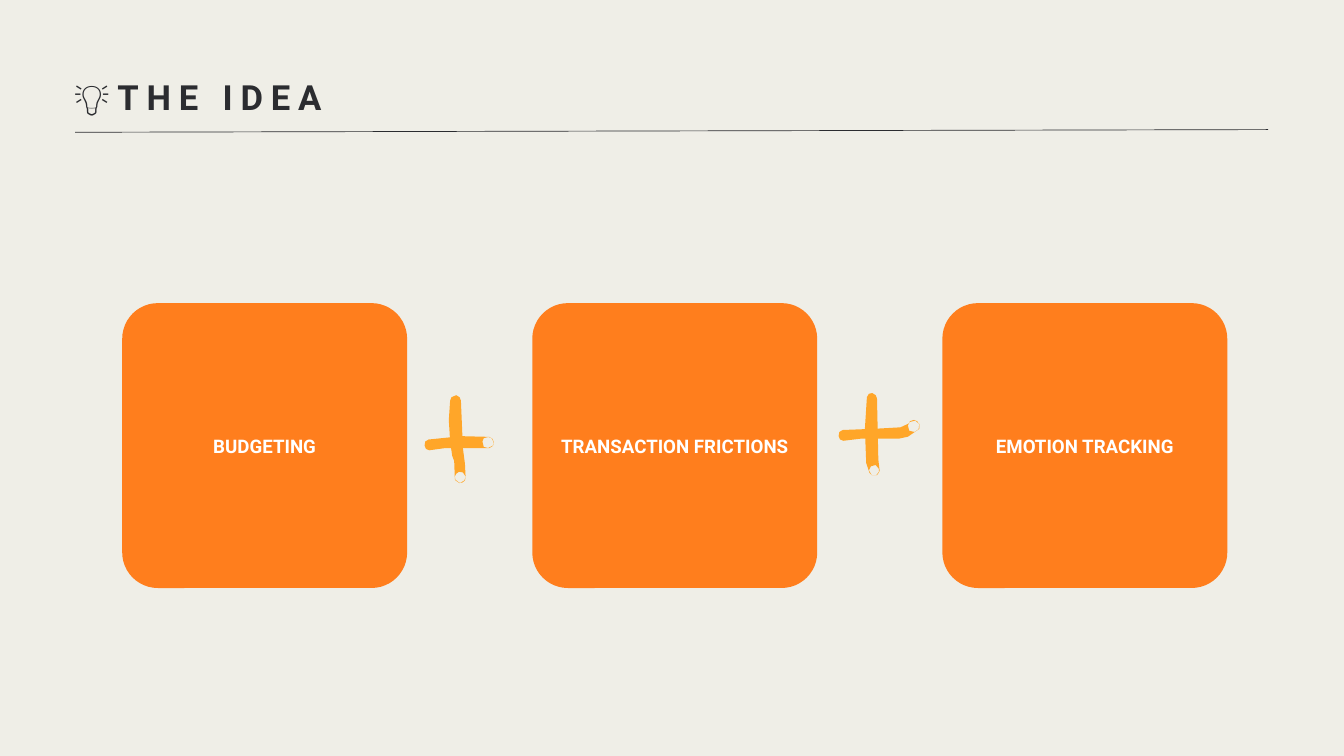
import pptx
import pptx.dml.color
import pptx.enum.shapes
import pptx.enum.text
import pptx.oxml
import pptx.util

Cm, Pt = pptx.util.Cm, pptx.util.Pt
ALIGN, ANCHOR = pptx.enum.text.PP_ALIGN, pptx.enum.text.MSO_ANCHOR
HUES = {"page": "EFEEE7", "ink": "2B2C30", "card": "FF7E1D",
        "plus": "FFA629", "white": "FFFFFF"}
CARDS = ["BUDGETING", "TRANSACTION FRICTIONS", "EMOTION TRACKING"]

# Hand-drawn strokes: outlines in hundredths of an inch from the sign's corner
UNIT = Cm(2.54) / 100
SIGNS = [
    {"bar": [(6, 66), (55, 61), (94, 62), (100, 64), (103, 71), (101, 76),
             (96, 79), (88, 77), (86, 69), (88, 64), (96, 62), (101, 65),
             (103, 70), (102, 75), (94, 79), (29, 79), (7, 82), (2, 80),
             (0, 75), (1, 69)],
     "post": [(54, 8), (57, 79), (60, 102), (61, 122), (59, 127), (52, 131),
              (46, 127), (45, 121), (47, 117), (51, 114), (57, 115),
              (61, 121), (60, 127), (56, 130), (51, 130), (45, 125),
              (44, 98), (41, 90), (38, 69), (36, 37), (38, 8), (40, 3),
              (47, 0), (52, 3)]},
    {"bar": [(6, 55), (56, 53), (92, 51), (105, 45), (106, 42), (112, 40),
             (117, 42), (120, 47), (120, 53), (113, 58), (105, 56),
             (103, 48), (106, 43), (114, 41), (120, 46), (119, 54),
             (103, 65), (89, 68), (32, 68), (7, 71), (2, 69), (0, 64),
             (1, 58)],
     "post": [(57, 8), (59, 99), (61, 116), (56, 122), (49, 122), (45, 115),
              (48, 109), (55, 107), (60, 113), (60, 118), (57, 122),
              (49, 122), (46, 119), (41, 104), (39, 53), (42, 6), (45, 1),
              (50, 0), (55, 3)]},
]


def tint(name):
    return pptx.dml.color.RGBColor.from_string(HUES[name])


def apply(item, values):
    for name, value in values.items():
        setattr(item, name, value)


def paint(shape, hue):
    shape.shadow.inherit = False
    shape.fill.solid()
    shape.fill.fore_color.rgb = tint(hue)
    shape.line.fill.background()


def write(shape, text, hue, frame, para, font):
    body = shape.text_frame
    body.text = text
    apply(body, {"word_wrap": True, **frame})
    first = body.paragraphs[0]
    apply(first, para)
    run = first.runs[0]
    apply(run.font, {"name": "Roboto", "bold": True, **font})
    run.font.color.rgb = tint(hue)
    return run


def header(slide, left, top, width, height):
    # Title
    title = slide.shapes.title
    apply(title, {"left": left, "top": top, "width": width, "height": height})
    frame = dict.fromkeys(
        ["margin_left", "margin_top", "margin_right", "margin_bottom"], 0)
    run = write(title, "💡THE IDEA", "ink",
                {**frame, "vertical_anchor": ANCHOR.TOP},
                {"alignment": ALIGN.LEFT, "line_spacing": Pt(52)},
                {"size": Pt(37.1)})
    run.font._element.set("spc", "840")

    # Slightly tilted rule
    start = left + Cm(0.05)
    rule = slide.shapes.add_connector(
        pptx.enum.shapes.MSO_CONNECTOR.STRAIGHT,
        start, top + Cm(2.38), start + width, top + Cm(2.28))
    rule.line.color.rgb = tint("ink")
    rule.line.width = Pt(0.75)
    rule._element.spPr.append(pptx.oxml.parse_xml(
        '<a:effectLst xmlns:a='
        '"http://schemas.openxmlformats.org/drawingml/2006/main"/>'))


def card(slide, text, left, top, side):
    shape = slide.shapes.add_shape(
        pptx.enum.shapes.MSO_SHAPE.ROUNDED_RECTANGLE, left, top, side, side)
    shape.adjustments[0] = 0.125
    paint(shape, "card")
    pad = Cm(0.15)
    write(shape, text, "white",
          {"margin_left": pad, "margin_right": pad, "margin_bottom": pad,
           "margin_top": Cm(0.28), "vertical_anchor": ANCHOR.MIDDLE},
          {"alignment": ALIGN.CENTER, "line_spacing": Pt(21.2)},
          {"size": Pt(20)})


def plus(slide, sign, left, top):
    for points in sign.values():
        pen = slide.shapes.build_freeform(*points[0], scale=UNIT)
        pen.add_line_segments(points[1:], close=True)
        paint(pen.convert_to_shape(left, top), "plus")


def main():
    deck = pptx.Presentation()
    apply(deck, {"slide_width": Cm(50.8), "slide_height": Cm(28.58)})
    slide = deck.slides.add_slide(deck.slide_layouts.get_by_name("Title Only"))
    slide.background.fill.solid()
    slide.background.fill.fore_color.rgb = tint("page")

    header(slide, Cm(2.79), Cm(2.62), Cm(45.09), Cm(1.8))

    # Row of cards joined by plus signs
    for i, text in enumerate(CARDS):
        card(slide, text, Cm(4.62) + i * Cm(15.5), Cm(11.46), Cm(10.77))
    spots = [(Cm(16.05), Cm(14.94)), (Cm(31.7), Cm(14.86))]
    for sign, spot in zip(SIGNS, spots):
        plus(slide, sign, *spot)

    deck.save("out.pptx")


if __name__ == "__main__":
    main()
